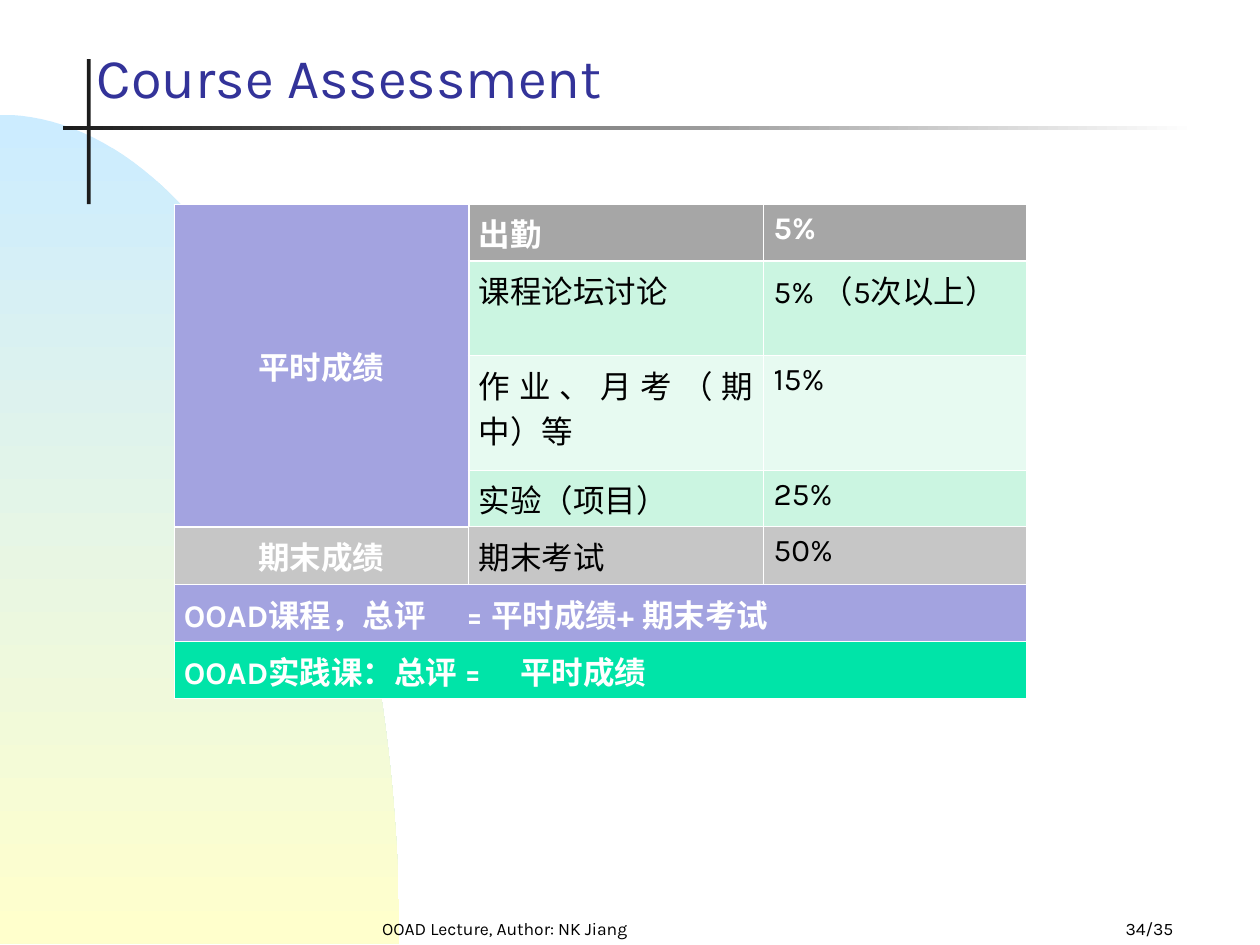
import math

import lxml.etree
import pptx
import pptx.dml.color
import pptx.enum.shapes
import pptx.enum.text
import pptx.oxml.ns
import pptx.util

RGBColor = pptx.dml.color.RGBColor
Inches = pptx.util.Inches
Pt = pptx.util.Pt
ALIGN = pptx.enum.text.PP_ALIGN
ANCHOR = pptx.enum.text.MSO_ANCHOR
qn = pptx.oxml.ns.qn

BLACK = RGBColor(0, 0, 0)
WHITE = RGBColor(255, 255, 255)
INK = RGBColor(0x1C, 0x1C, 0x1C)
NAVY = RGBColor(0x33, 0x33, 0x99)
SKY = RGBColor(0xCC, 0xEC, 0xFF)
CREAM = RGBColor(0xFF, 0xFF, 0xCC)
LILAC = RGBColor(0xA3, 0xA3, 0xE0)
GRAY = RGBColor(0xA6, 0xA6, 0xA6)
SILVER = RGBColor(0xC6, 0xC6, 0xC6)
MINT = RGBColor(0xCB, 0xF5, 0xE1)
PALE_MINT = RGBColor(0xE7, 0xFA, 0xF1)
GREEN = RGBColor(0x00, 0xE4, 0xA8)

COLUMNS = [2.34, 2.34, 2.09]
ROWS = [
    (0.45, ["平时成绩", "出勤", "5%"], GRAY),
    (0.75, ["", "课程论坛讨论", "5% （5次以上）"], MINT),
    (0.91, ["", "作业、月考（期中）等", "15%"], PALE_MINT),
    (0.45, ["", "实验（项目）", "25%"], MINT),
    (0.46, ["期末成绩", "期末考试", "50%"], SILVER),
    (0.45, ["OOAD课程，总评\t= 平时成绩+ 期末考试", "", ""], LILAC),
    (0.45, ["OOAD实践课：总评 =\t平时成绩", "", ""], GREEN),
]
FORMULA_TABS = {5: 2.24, 6: 2.67}
THIN, THICK = 0.45, 1.47


class Deck:
    """Hold the style and the current slide, and draw each kind of element."""

    font = "Karla"

    def __init__(self):
        self.prs = pptx.Presentation()
        self.prs.slide_width, self.prs.slide_height = Inches(10), Inches(7.5)
        self.s = self.prs.slides.add_slide(self.prs.slide_layouts[6])

    def paint(self, sp, colors, angle=0):
        sp.shadow.inherit = False
        sp.line.fill.background()
        if len(colors) == 1:
            sp.fill.solid()
            sp.fill.fore_color.rgb = colors[0]
            return
        sp.fill.gradient()
        sp.fill.gradient_angle = angle
        for stop, color in zip(sp.fill.gradient_stops, colors):
            stop.color.rgb = color

    def quarter_ellipse(self, bottom, rx, ry, colors, steps=60):
        angles = [math.pi / 2 * i / steps for i in range(steps + 1)]
        points = [(Inches(rx * math.sin(a)), Inches(bottom - ry * math.cos(a)))
                  for a in angles]
        builder = self.s.shapes.build_freeform(*points[0])
        builder.add_line_segments(points[1:] + [(0, Inches(bottom))], close=True)
        self.paint(builder.convert_to_shape(), colors, 270)

    def bar(self, x, y, w, h, *colors):
        sp = self.s.shapes.add_shape(pptx.enum.shapes.MSO_SHAPE.RECTANGLE,
                                     Inches(x), Inches(y), Inches(w), Inches(h))
        self.paint(sp, colors)

    def set_text(self, tf, text, size, color, align, bold=False):
        p = tf.paragraphs[0]
        p.text = text
        p.alignment = align
        p.font.name, p.font.size = self.font, Pt(size)
        p.font.bold, p.font.color.rgb = bold, color

    def text(self, x, y, w, h, text, size, color=BLACK, align=ALIGN.LEFT):
        sp = self.s.shapes.add_textbox(Inches(x), Inches(y), Inches(w), Inches(h))
        tf = sp.text_frame
        tf.word_wrap = True
        tf.vertical_anchor = ANCHOR.BOTTOM
        self.set_text(tf, text, size, color, align)

    def border(self, cell, side, width):
        ln = lxml.etree.SubElement(cell._tc.get_or_add_tcPr(), qn(f"a:ln{side}"),
                                   w=str(Pt(width)))
        fill = lxml.etree.SubElement(ln, qn("a:solidFill"))
        lxml.etree.SubElement(fill, qn("a:srgbClr"), val=str(WHITE))

    def tab_stop(self, p, position):
        tabs = lxml.etree.SubElement(p._p.get_or_add_pPr(), qn("a:tabLst"))
        lxml.etree.SubElement(tabs, qn("a:tab"), pos=str(Inches(position)), algn="l")

    def cell(self, cell, r, c, text, fill):
        head = c == 0 and r < 4
        thick = {
            "L": c == 1 and r < 4,
            "R": head,
            "T": (r == 1 and c > 0) or (r == 4 and c == 0),
            "B": r == 0 or (r == 3 and c == 0),
        }
        for side, is_thick in thick.items():
            self.border(cell, side, THICK if is_thick else THIN)
        cell.fill.solid()
        cell.fill.fore_color.rgb = LILAC if head else fill
        cell.margin_left = cell.margin_right = Inches(0.08)
        cell.margin_top = cell.margin_bottom = Inches(0.05)
        cell.vertical_anchor = ANCHOR.MIDDLE if head else ANCHOR.TOP
        if not text:
            return
        if r in FORMULA_TABS:
            self.tab_stop(cell.text_frame.paragraphs[0], FORMULA_TABS[r])
        bold = c == 0 or r == 0
        align = ALIGN.CENTER if c == 0 and r < 5 else ALIGN.JUSTIFY
        self.set_text(cell.text_frame, text, 18, WHITE if bold else BLACK, align, bold)

    def table(self, x, y, columns, rows):
        height = sum(row[0] for row in rows)
        frame = self.s.shapes.add_table(len(rows), len(columns), Inches(x), Inches(y),
                                        Inches(sum(columns)), Inches(height))
        table = frame.table
        for column, width in zip(table.columns, columns):
            column.width = Inches(width)
        for r, (height, texts, fill) in enumerate(rows):
            table.rows[r].height = Inches(height)
            for c, text in enumerate(texts):
                self.cell(table.cell(r, c), r, c, text, fill)
        table.cell(0, 0).merge(table.cell(3, 0))
        for r in FORMULA_TABS:
            table.cell(r, 0).merge(table.cell(r, 2))


def main():
    deck = Deck()
    deck.quarter_ellipse(7.49, 3.17, 6.58, [SKY, CREAM])
    deck.bar(0.69, 0.47, 0.03, 1.15, INK)
    deck.bar(0.5, 1, 9, 0.03, INK, WHITE)
    deck.text(2.42, 7.17, 3.17, 0.33, "OOAD Lecture, Author: NK Jiang", 10,
              align=ALIGN.CENTER)
    deck.text(7.33, 7.17, 2.08, 0.33, "34/35", 10, align=ALIGN.RIGHT)
    deck.text(0.67, 0.17, 7.08, 0.75, "Course Assessment", 32, NAVY)
    deck.table(1.38, 1.62, COLUMNS, ROWS)
    deck.prs.save("out.pptx")


if __name__ == "__main__":
    main()
